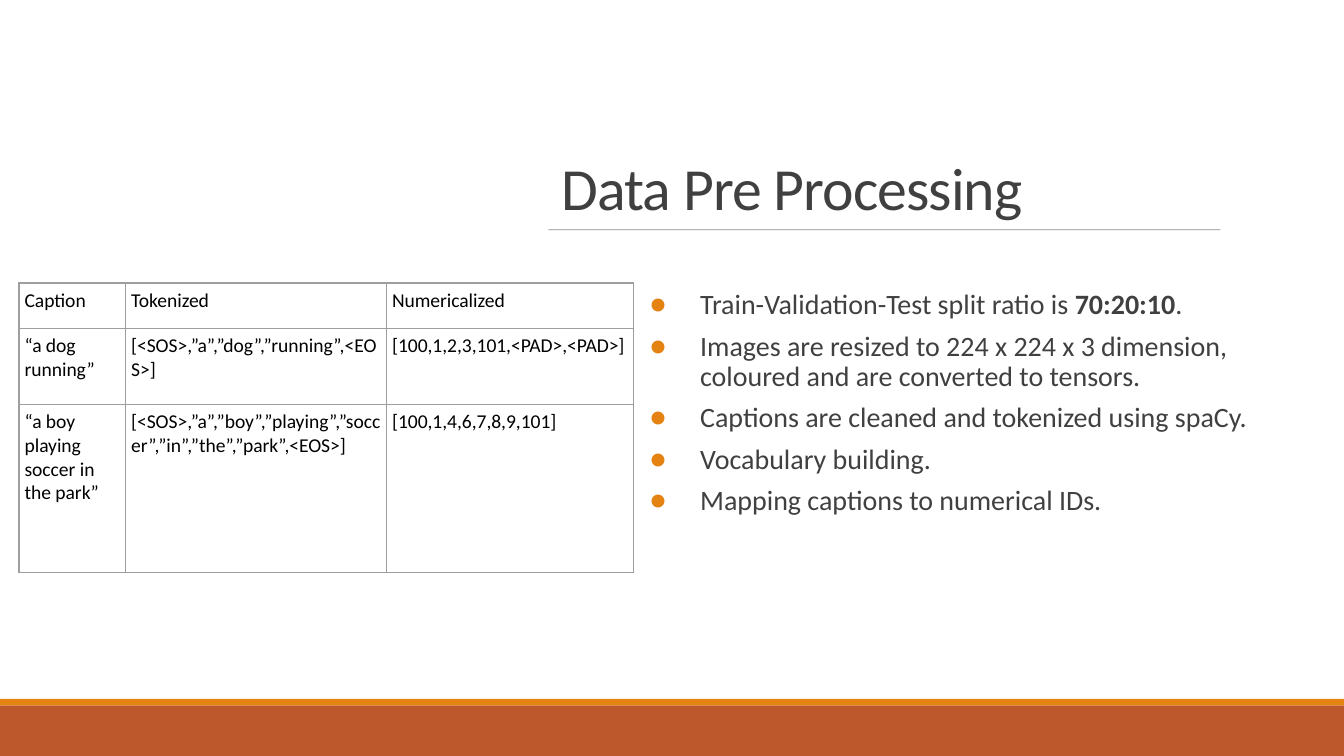
from dataclasses import dataclass

from lxml import etree
from pptx import Presentation
from pptx.dml.color import RGBColor
from pptx.enum.shapes import MSO_CONNECTOR, MSO_SHAPE
from pptx.enum.text import MSO_ANCHOR
from pptx.oxml.ns import qn
from pptx.util import Pt

STRAIGHT = MSO_CONNECTOR.STRAIGHT
RECT = MSO_SHAPE.RECTANGLE
TOP, BOTTOM = MSO_ANCHOR.TOP, MSO_ANCHOR.BOTTOM


@dataclass(frozen=True)
class Theme:
    font: str = "Calibri"
    white: str = "FFFFFF"
    text: str = "404040"
    cell_text: str = "000000"
    accent: str = "E48312"
    footer: str = "BD582C"
    rule: str = "808080"
    border: str = "9E9E9E"
    title_size: float = 32
    body_size: float = 15
    cell_size: float = 10.5


@dataclass(frozen=True)
class Band:
    top: float
    height: float
    color: str


@dataclass(frozen=True)
class Run:
    text: str
    bold: bool = False


THEME = Theme()
WIDTH, HEIGHT = 720, 405

BANDS = [
    Band(0, 374.4, THEME.white),
    Band(374.4, 3.6, THEME.accent),
    Band(378, 27, THEME.footer),
]

BULLETS = [
    [Run("Train-Validation-Test split ratio is"), Run(" 70:20:10", True), Run(".")],
    [Run("Images are resized to 224 x 224 x 3 dimension, coloured and are converted to tensors.")],
    [Run("Captions are cleaned and tokenized using spaCy.")],
    [Run("Vocabulary building.")],
    [Run("Mapping captions to numerical IDs.")],
]

COL_WIDTHS = [57.1, 139.8, 132.1]
ROW_HEIGHTS = [24.3, 40.8, 90]
ROWS = [
    ["Caption", "Tokenized", "Numericalized"],
    ["“a dog running”", "[<SOS>,”a”,”dog”,”running”,<EOS>]", "[100,1,2,3,101,<PAD>,<PAD>]"],
    ["“a boy playing soccer in the park”",
     "[<SOS>,”a”,”boy”,”playing”,”soccer”,”in”,”the”,”park”,<EOS>]",
     "[100,1,4,6,7,8,9,101]"],
]


def add_run(p, text: str, *, size: float, color: str, bold: bool = False,
            spacing: float = 0) -> None:
    r = p.add_run()
    r.text = text
    r.font.name = THEME.font
    r.font.size = Pt(size)
    r.font.bold = bold
    r.font.color.rgb = RGBColor.from_string(color)
    if spacing:
        r._r.get_or_add_rPr().set("spc", str(int(spacing * 100)))


def add_text_box(s, left: float, top: float, width: float, height: float,
                 anchor=TOP, side_inset: float = 7.2):
    tf = s.shapes.add_textbox(Pt(left), Pt(top), Pt(width), Pt(height)).text_frame
    tf.word_wrap = True
    tf.vertical_anchor = anchor
    tf.margin_left = tf.margin_right = Pt(side_inset)
    return tf


def add_band(s, band: Band) -> None:
    sp = s.shapes.add_shape(RECT, 0, Pt(band.top), Pt(WIDTH), Pt(band.height))
    sp.shadow.inherit = False
    sp.fill.solid()
    sp.fill.fore_color.rgb = RGBColor.from_string(band.color)
    sp.line.fill.background()


def add_rule(s, left: float, top: float, width: float) -> None:
    line = s.shapes.add_connector(STRAIGHT, Pt(left), Pt(top), Pt(left + width), Pt(top))
    line.line.width = Pt(0.5)
    line.line.color.rgb = RGBColor.from_string(THEME.rule)
    color = line._element.spPr.find(".//" + qn("a:srgbClr"))
    etree.SubElement(color, qn("a:alpha"), val="90000")
    etree.SubElement(line._element.spPr, qn("a:effectLst"))


def set_bullet(p, indent: float, hanging: float) -> None:
    pPr = p._p.get_or_add_pPr()
    pPr.set("marL", str(Pt(indent)))
    pPr.set("indent", str(-Pt(hanging)))
    color = etree.SubElement(pPr, qn("a:buClr"))
    etree.SubElement(color, qn("a:srgbClr"), val=THEME.accent)
    etree.SubElement(pPr, qn("a:buFont"), typeface=THEME.font)
    etree.SubElement(pPr, qn("a:buChar"), char="●")


def set_borders(cell) -> None:
    tcPr = cell._tc.get_or_add_tcPr()
    for i, side in enumerate(("a:lnL", "a:lnR", "a:lnT", "a:lnB")):
        ln = etree.Element(qn(side), w=str(Pt(0.75)))
        fill = etree.SubElement(ln, qn("a:solidFill"))
        etree.SubElement(fill, qn("a:srgbClr"), val=THEME.border)
        tcPr.insert(i, ln)


def add_caption_table(s, left: float, top: float) -> None:
    frame = s.shapes.add_table(len(ROWS), len(COL_WIDTHS), Pt(left), Pt(top),
                               Pt(sum(COL_WIDTHS)), Pt(sum(ROW_HEIGHTS)))
    table = frame.table
    table.first_row = table.horz_banding = False
    for column, width in zip(table.columns, COL_WIDTHS):
        column.width = Pt(width)
    for row, height, texts in zip(table.rows, ROW_HEIGHTS, ROWS):
        row.height = Pt(height)
        for cell, text in zip(row.cells, texts):
            cell.fill.background()
            cell.margin_left = cell.margin_right = Pt(3)
            cell.margin_top = cell.margin_bottom = Pt(3)
            set_borders(cell)
            add_run(cell.text_frame.paragraphs[0], text,
                    size=THEME.cell_size, color=THEME.cell_text)


def main() -> None:
    prs = Presentation()
    prs.slide_width, prs.slide_height = Pt(WIDTH), Pt(HEIGHT)
    s = prs.slides.add_slide(prs.slide_layouts[6])

    # Background and footer bands
    for band in BANDS:
        add_band(s, band)

    # Title and rule
    p = add_text_box(s, 293.8, 37.4, 388, 85.7, BOTTOM).paragraphs[0]
    p.line_spacing = 0.85
    add_run(p, "Data Pre Processing", size=THEME.title_size, color=THEME.text, spacing=-0.5)
    add_rule(s, 293.8, 123.1, 360)

    # Bullet list
    tf = add_text_box(s, 339.1, 152.1, 342.7, 194.2, side_inset=0)
    for i, runs in enumerate(BULLETS):
        p = tf.paragraphs[0] if i == 0 else tf.add_paragraph()
        set_bullet(p, 36, 27)
        p.line_spacing = 0.9
        p.space_after = Pt(6)
        for run in runs:
            add_run(p, run.text, size=THEME.body_size, color=THEME.text, bold=run.bold)

    # Caption table
    add_caption_table(s, 10.2, 151.6)

    prs.save("out.pptx")


if __name__ == "__main__":
    main()
